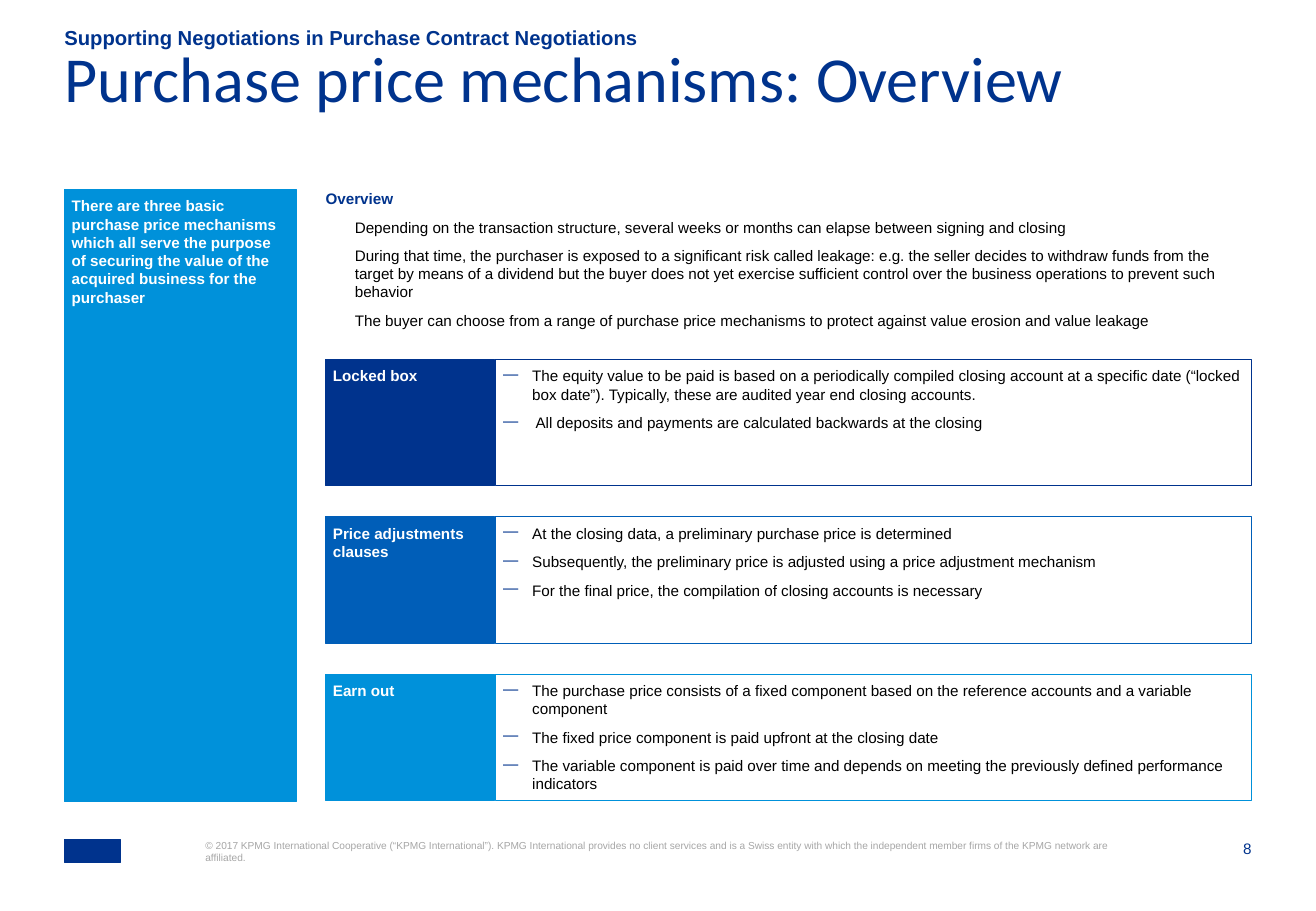
import pptx
import pptx.util
import pptx.dml.color
import pptx.enum.shapes
import pptx.enum.text
import pptx.oxml
import pptx.oxml.ns

Inches = pptx.util.Inches
Pt = pptx.util.Pt
RGBColor = pptx.dml.color.RGBColor
PP_ALIGN = pptx.enum.text.PP_ALIGN
MSO_ANCHOR = pptx.enum.text.MSO_ANCHOR
RECTANGLE = pptx.enum.shapes.MSO_SHAPE.RECTANGLE

NAVY = RGBColor(0x00, 0x33, 0x8D)
MID_BLUE = RGBColor(0x00, 0x5E, 0xB8)
SKY = RGBColor(0x00, 0x91, 0xDA)
WHITE = RGBColor(0xFF, 0xFF, 0xFF)
BLACK = RGBColor(0x00, 0x00, 0x00)
GREY = RGBColor(0xA6, 0xA6, 0xA6)

BODY = {"name": "Arial", "size": Pt(9), "bold": False, "color": BLACK}
HEADING = {**BODY, "bold": True, "color": NAVY}
LABEL = {**HEADING, "color": WHITE}
TITLE = {"name": "Calibri", "size": Pt(38), "bold": False, "color": NAVY}
SUBTITLE = {**HEADING, "size": Pt(12)}
COPYRIGHT = {**BODY, "size": Pt(6), "color": GREY}
PAGE_NUMBER = {**BODY, "color": NAVY}

INDENT = Inches(0.24)
PADDING = Inches(0.06)
LEFT = 0.53
PANEL_TOP = 1.56
PANEL_HEIGHT = 5.04
CONTENT_LEFT = 2.68
ROW_TOP = 2.96
ROW_PITCH = 1.295
ROW_HEIGHT = 1.04
LABEL_WIDTH = 1.39
DETAIL_LEFT = 4.08
DETAIL_WIDTH = 6.22

OVERVIEW = [
    "Depending on the transaction structure, several weeks or months can elapse "
    "between signing and closing",
    "During that time, the purchaser is exposed to a significant risk called leakage: "
    "e.g. the seller decides to withdraw funds from the target by means of a dividend "
    "but the buyer does not yet exercise sufficient control over the business "
    "operations to prevent such behavior",
    "The buyer can choose from a range of purchase price mechanisms to protect against "
    "value erosion and value leakage",
]

MECHANISMS = [
    ("Locked box", NAVY, [
        "The equity value to be paid is based on a periodically compiled closing account "
        "at a specific date (“locked box date”). Typically, these are audited year end "
        "closing accounts.",
        " All deposits and payments are calculated backwards at the closing",
    ]),
    ("Price adjustments clauses", MID_BLUE, [
        "At the closing data, a preliminary purchase price is determined",
        "Subsequently, the preliminary price is adjusted using a price adjustment "
        "mechanism",
        "For the final price, the compilation of closing accounts is necessary",
    ]),
    ("Earn out", SKY, [
        "The purchase price consists of a fixed component based on the reference accounts "
        "and a variable component",
        "The fixed price component is paid upfront at the closing date",
        "The variable component is paid over time and depends on meeting the previously "
        "defined performance indicators",
    ]),
]


def set_font(font, style):
    for attribute, value in style.items():
        if attribute == "color":
            font.color.rgb = value
        else:
            setattr(font, attribute, value)


def set_frame(frame, margin=0, anchor=MSO_ANCHOR.TOP):
    settings = {
        "word_wrap": True,
        "auto_size": pptx.enum.text.MSO_AUTO_SIZE.NONE,
        "vertical_anchor": anchor,
        **{f"margin_{side}": margin for side in ("left", "top", "right", "bottom")},
    }
    for attribute, value in settings.items():
        setattr(frame, attribute, value)


def add_dash(paragraph):
    """Hang the paragraph behind a navy dash."""
    properties = paragraph._p.get_or_add_pPr()
    properties.set("marL", str(INDENT))
    properties.set("indent", str(-INDENT))
    namespace = pptx.oxml.ns.nsdecls("a")
    for markup in (
        f'<a:buClr {namespace}><a:srgbClr val="{NAVY}"/></a:buClr>',
        f'<a:buChar {namespace} char="—"/>',
    ):
        properties.append(pptx.oxml.parse_xml(markup))


def write(frame, texts, style, align=PP_ALIGN.LEFT, dashed=False, space_after=0):
    for index, text in enumerate(texts):
        paragraph = frame.paragraphs[0] if index == 0 else frame.add_paragraph()
        if dashed:
            add_dash(paragraph)
        paragraph.alignment = align
        paragraph.space_after = Pt(space_after)
        run = paragraph.add_run()
        run.text = text
        set_font(run.font, style)


def add_text(slide, box, text, style, align=PP_ALIGN.LEFT, anchor=MSO_ANCHOR.TOP):
    frame = slide.shapes.add_textbox(*map(Inches, box)).text_frame
    set_frame(frame, anchor=anchor)
    write(frame, [text], style, align)
    return frame


def add_panel(slide, box, fill, line, line_width=0.5):
    """Add a rectangle and return its text frame."""
    panel = slide.shapes.add_shape(RECTANGLE, *map(Inches, box))
    panel.shadow.inherit = False
    panel.fill.solid()
    panel.fill.fore_color.rgb = fill
    panel.line.color.rgb = line
    panel.line.width = Pt(line_width)
    set_frame(panel.text_frame, PADDING)
    return panel.text_frame


def add_title(slide):
    title = slide.shapes.title
    box = {"left": LEFT, "top": 0.49, "width": 9.75, "height": 0.79}
    for attribute, value in box.items():
        setattr(title, attribute, Inches(value))
    set_frame(title.text_frame)
    write(title.text_frame, ["Purchase price mechanisms: Overview"], TITLE)
    title.text_frame.paragraphs[0].line_spacing = 0.7


def add_overview(slide):
    box = (CONTENT_LEFT, PANEL_TOP, 7.62, 1.3)
    frame = add_text(slide, box, "Overview", HEADING)
    frame.paragraphs[0].space_after = Pt(6)
    for text in OVERVIEW:
        paragraph = frame.add_paragraph()
        paragraph._p.get_or_add_pPr().set("marL", str(INDENT))
        paragraph.space_after = Pt(6)
        run = paragraph.add_run()
        run.text = text
        set_font(run.font, BODY)


def add_mechanism(slide, row, name, color, details):
    top = ROW_TOP + row * ROW_PITCH
    label = add_panel(slide, (CONTENT_LEFT, top, LABEL_WIDTH, ROW_HEIGHT), color, color)
    write(label, [name], LABEL)
    detail = add_panel(slide, (DETAIL_LEFT, top, DETAIL_WIDTH, ROW_HEIGHT), WHITE, color)
    write(detail, details, BODY, dashed=True, space_after=6)


def add_footer(slide):
    add_panel(slide, (LEFT, 6.91, 0.46, 0.19), NAVY, NAVY)
    add_text(
        slide, (1.69, 6.91, 7.49, 0.41),
        "© 2017 KPMG International Cooperative (“KPMG International”). KPMG International "
        "provides no client services and is a Swiss entity with which the independent "
        "member firms of the KPMG network are affiliated.",
        COPYRIGHT)
    add_text(slide, (9.87, 6.91, 0.43, 0.16), "8", PAGE_NUMBER, PP_ALIGN.RIGHT)


def main():
    presentation = pptx.Presentation()
    presentation.slide_width = Inches(10.83)
    presentation.slide_height = Inches(7.5)
    slide = presentation.slides.add_slide(presentation.slide_layouts[5])

    add_title(slide)
    add_text(slide, (LEFT, 0.22, 9.4, 0.19),
             "Supporting Negotiations in Purchase Contract Negotiations",
             SUBTITLE, anchor=MSO_ANCHOR.BOTTOM)
    summary = add_panel(slide, (LEFT, PANEL_TOP, 1.91, PANEL_HEIGHT), SKY, SKY, 0.75)
    write(summary, ["There are three basic purchase price mechanisms which all serve the "
                    "purpose of securing the value of the acquired business for the "
                    "purchaser"], LABEL)
    add_overview(slide)
    for row, mechanism in enumerate(MECHANISMS):
        add_mechanism(slide, row, *mechanism)
    add_footer(slide)
    presentation.save("out.pptx")


if __name__ == "__main__":
    main()
